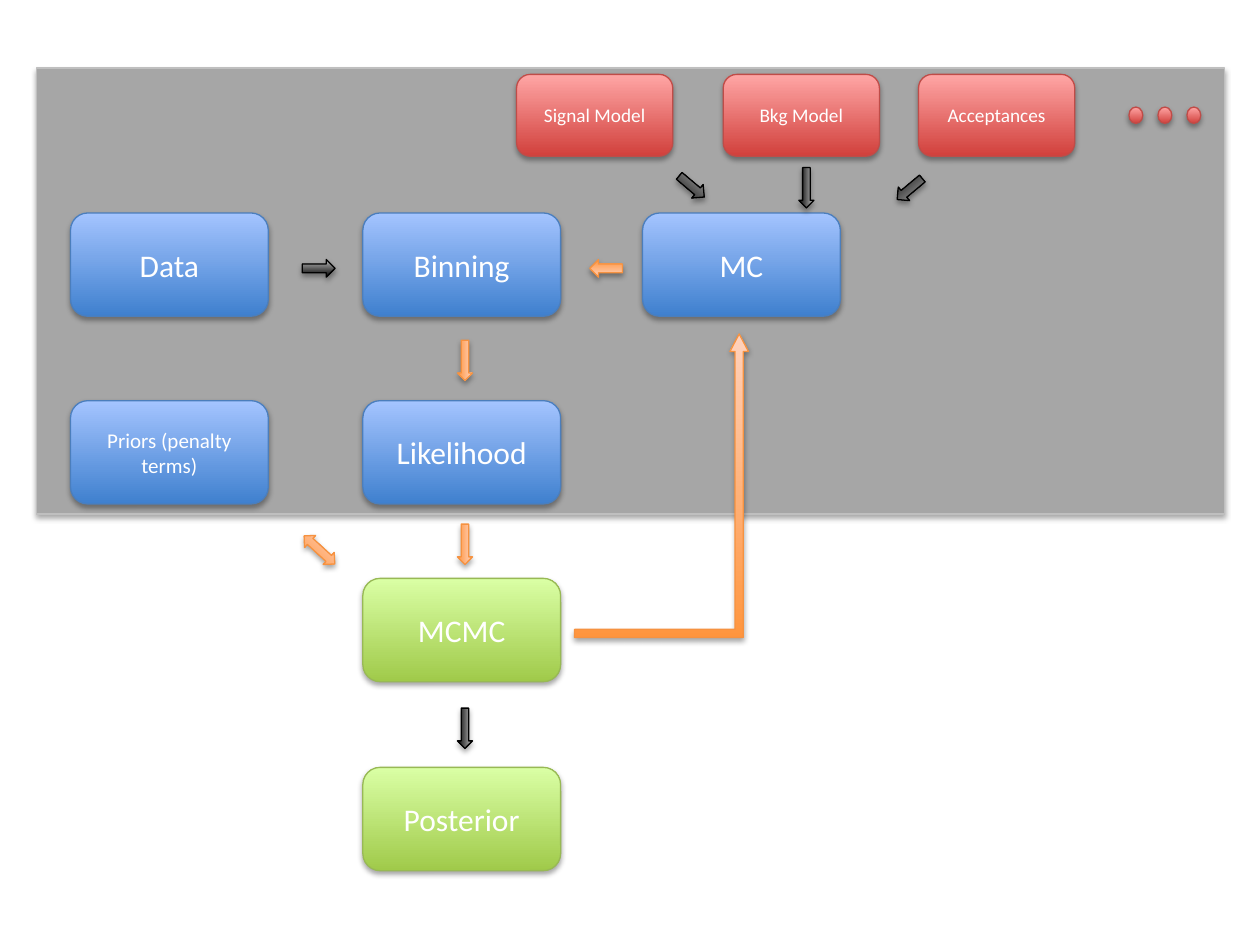
from lxml import etree
from pptx import Presentation
from pptx.dml.color import RGBColor
from pptx.enum import shapes, text
from pptx.oxml import ns
from pptx.util import Inches, Pt

WHITE = RGBColor(0xFF, 0xFF, 0xFF)
# Each tone: bottom colour, top colour, outline
GREY = (RGBColor(0xA6, 0xA6, 0xA6), None, RGBColor(0xBF, 0xBF, 0xBF))
BLUE = (RGBColor(0x3F, 0x80, 0xCE), RGBColor(0xA4, 0xC4, 0xFF), RGBColor(0x4B, 0x7E, 0xBC))
RED = (RGBColor(0xD1, 0x40, 0x3C), RGBColor(0xFF, 0xA6, 0xA5), RGBColor(0xBF, 0x4C, 0x48))
GREEN = (RGBColor(0xA0, 0xCA, 0x4A), RGBColor(0xDA, 0xFF, 0xA5), RGBColor(0x98, 0xB9, 0x55))
BLACK = (RGBColor(0, 0, 0), RGBColor(0xBD, 0xBD, 0xBD), RGBColor(0, 0, 0))
ORANGE = (RGBColor(0xFF, 0x95, 0x3E), RGBColor(0xFF, 0xD2, 0xBD), RGBColor(0xF6, 0x92, 0x40))
KIND = shapes.MSO_SHAPE


def shade(shape):
    """Give the shape a soft shadow straight below it."""
    shape.shadow.inherit = False
    effects = shape._element.spPr.find(ns.qn("a:effectLst"))
    outer = etree.SubElement(effects, ns.qn("a:outerShdw"), blurRad=str(Pt(3.1)),
                             dist=str(Pt(1.8)), dir="5400000", rotWithShape="0")
    black = etree.SubElement(outer, ns.qn("a:srgbClr"), val="000000")
    etree.SubElement(black, ns.qn("a:alpha"), val="35000")


def draw(home, kind, box, tone, label="", size=18, turn=0):
    shape = home.add_shape(kind, *map(Inches, box))
    low, high, edge = tone
    if high is None:
        shape.fill.solid()
        shape.fill.fore_color.rgb = low
    else:
        shape.fill.gradient()
        shape.fill.gradient_angle = 90
        for stop, color in zip(shape.fill.gradient_stops, (low, high)):
            stop.color.rgb = color
    shape.line.color.rgb = edge
    shape.line.width = Pt(0.75)
    shade(shape)
    shape.rotation = turn
    if label:
        frame = shape.text_frame
        frame.word_wrap = True
        frame.vertical_anchor = text.MSO_ANCHOR.MIDDLE
        par = frame.paragraphs[0]
        par.alignment = text.PP_ALIGN.CENTER
        run = par.add_run()
        run.text = label
        run.font.name = "Calibri"
        run.font.size = Pt(size)
        run.font.color.rgb = WHITE
    return shape


deck = Presentation()
deck.slide_width, deck.slide_height = Inches(10), Inches(7.5)
slide = deck.slides.add_slide(deck.slide_layouts[6])
chart = slide.shapes.add_group_shape().shapes

draw(chart, KIND.RECTANGLE, (0.29, 0.54, 9.43, 3.54), GREY)

# Inputs to the MC, with dots for further ones
for left, label in ((4.1, "Signal Model"), (5.74, "Bkg Model"), (7.29, "Acceptances")):
    draw(chart, KIND.ROUNDED_RECTANGLE, (left, 0.59, 1.24, 0.65), RED, label, size=11)
for i in range(3):
    draw(chart, KIND.OVAL, (8.96 + 0.23 * i, 0.85, 0.11, 0.13), RED)

# Main steps
for left, top, tone, label, size in (
    (0.56, 1.69, BLUE, "Data", 18),
    (2.88, 1.69, BLUE, "Binning", 18),
    (5.1, 1.69, BLUE, "MC", 18),
    (0.56, 3.18, BLUE, "Priors (penalty terms)", 12),
    (2.88, 3.18, BLUE, "Likelihood", 18),
    (2.88, 4.59, GREEN, "MCMC", 18),
    (2.88, 6.09, GREEN, "Posterior", 18),
):
    draw(chart, KIND.ROUNDED_RECTANGLE, (left, top, 1.57, 0.82), tone, label, size=size)

# Arrows pointing down
for left, top, tone in ((6.24, 1.43, BLACK), (3.53, 2.8, ORANGE),
                        (3.53, 4.26, ORANGE), (3.53, 5.72, BLACK)):
    draw(chart, KIND.RIGHT_ARROW, (left, top, 0.32, 0.12), tone, turn=90)

# Sideways and slanted arrows
for left, top, tone, turn in ((5.36, 1.41, BLACK, 40.2), (7.09, 1.43, BLACK, 140.1),
                              (2.4, 2.06, BLACK, 0), (4.68, 2.06, ORANGE, 180)):
    draw(chart, KIND.RIGHT_ARROW, (left, top, 0.26, 0.14), tone, turn=turn)

# Loop from MCMC back to MC
loop = draw(chart, KIND.BENT_UP_ARROW, (4.56, 2.65, 1.38, 2.41), ORANGE)
for i, ratio in enumerate((0.047, 0.053, 0.101)):
    loop.adjustments[i] = ratio

draw(slide.shapes, KIND.LEFT_RIGHT_ARROW, (2.37, 4.3, 0.33, 0.13), ORANGE, turn=42.4)

deck.save("out.pptx")
